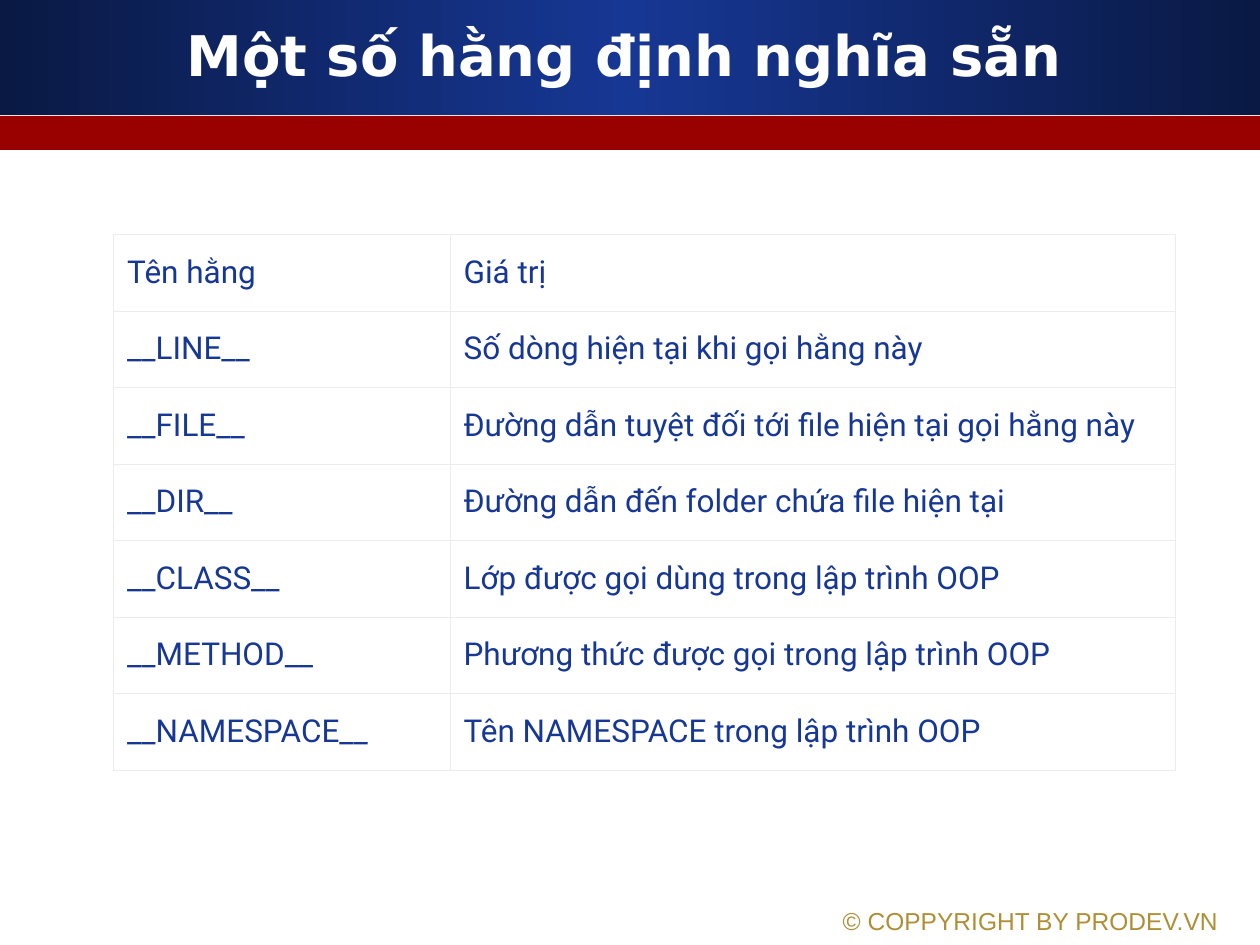
import copy
from dataclasses import dataclass

import pptx
import pptx.dml.color
import pptx.enum.shapes
import pptx.enum.text
import pptx.oxml
import pptx.oxml.ns
import pptx.util
from pptx.util import Inches

ANCHOR = pptx.enum.text.MSO_ANCHOR
ALIGN = pptx.enum.text.PP_ALIGN


@dataclass(frozen=True)
class TextStyle:
    font: str
    size: int
    color: str
    bold: bool = False


@dataclass(frozen=True)
class Theme:
    navy: str = "0A1944"
    blue: str = "163794"
    red: str = "990000"
    white: str = "FFFFFF"
    border: str = "ECECEC"
    border_width: float = 0.34
    title: TextStyle = TextStyle("DejaVu Sans", 32, "FFFFFF", True)
    body: TextStyle = TextStyle("Roboto", 18, "163794")
    footer: TextStyle = TextStyle("Arial", 14, "AF8F35")


THEME = Theme()

CONSTANTS = [
    ("Tên hằng", "Giá trị"),
    ("__LINE__", "Số dòng hiện tại khi gọi hằng này"),
    ("__FILE__", "Đường dẫn tuyệt đối tới file hiện tại gọi hằng này"),
    ("__DIR__", "Đường dẫn đến folder chứa file hiện tại"),
    ("__CLASS__", "Lớp được gọi dùng trong lập trình OOP"),
    ("__METHOD__", "Phương thức được gọi trong lập trình OOP"),
    ("__NAMESPACE__", "Tên NAMESPACE trong lập trình OOP"),
]


def rgb(color):
    return pptx.dml.color.RGBColor.from_string(color)


def write_text(text_frame, text, style):
    text_frame.text = text
    font = text_frame.paragraphs[0].runs[0].font
    font.name = style.font
    font.size = pptx.util.Pt(style.size)
    font.bold = style.bold
    font.color.rgb = rgb(style.color)


def add_band(slide, top, height):
    band = slide.shapes.add_shape(
        pptx.enum.shapes.MSO_SHAPE.RECTANGLE, 0, Inches(top), Inches(10), Inches(height))
    band.shadow.inherit = False
    band.line.fill.background()
    return band


def fill_mirrored_gradient(fill, edge, center):
    """Run a horizontal gradient from edge to center and back to edge."""
    fill.gradient()
    fill.gradient_angle = 0
    stops = fill.gradient_stops
    stop_list = fill._fill._gradFill.gsLst
    stop_list.append(copy.deepcopy(stop_list[-1]))
    stops = fill.gradient_stops
    for stop, position, color in zip(stops, (0, 0.5, 1), (edge, center, edge)):
        stop.position = position
        stop.color.rgb = rgb(color)


def add_text_box(slide, left, top, width, height, text, style):
    box = slide.shapes.add_textbox(Inches(left), Inches(top), Inches(width), Inches(height))
    box.text_frame.word_wrap = True
    write_text(box.text_frame, text, style)
    return box.text_frame


def add_title(slide, text):
    frame = add_text_box(slide, 0.33, 0.17, 9.25, 0.62, text, THEME.title)
    frame.margin_left = frame.margin_right = frame.margin_top = frame.margin_bottom = 0
    frame.vertical_anchor = ANCHOR.MIDDLE
    frame.paragraphs[0].alignment = ALIGN.CENTER
    frame.paragraphs[0].line_spacing = 0.8


def add_cell_borders(cell):
    properties = cell._tc.get_or_add_tcPr()
    width = pptx.util.Pt(THEME.border_width)
    for side in ("lnL", "lnR", "lnT", "lnB"):
        properties.append(pptx.oxml.parse_xml(
            f'<a:{side} {pptx.oxml.ns.nsdecls("a")} w="{width}"><a:solidFill>'
            f'<a:srgbClr val="{THEME.border}"/></a:solidFill></a:{side}>'))


def format_cell(cell, text):
    write_text(cell.text_frame, text, THEME.body)
    cell.vertical_anchor = ANCHOR.MIDDLE
    cell.margin_left = cell.margin_right = Inches(0.11)
    cell.margin_top = cell.margin_bottom = Inches(0.05)
    add_cell_borders(cell)
    cell.fill.solid()
    cell.fill.fore_color.rgb = rgb(THEME.white)


def add_constants_table(slide, rows):
    table = slide.shapes.add_table(
        len(rows), 2, Inches(0.9), Inches(1.86), Inches(8.43), Inches(4.25)).table
    table.first_row = table.horz_banding = False
    for column, width in zip(table.columns, (2.67, 5.76)):
        column.width = Inches(width)
    for row, texts in zip(table.rows, rows):
        for cell, text in zip(row.cells, texts):
            format_cell(cell, text)


def main():
    presentation = pptx.Presentation()
    presentation.slide_width, presentation.slide_height = Inches(10), Inches(7.5)
    slide = presentation.slides.add_slide(presentation.slide_layouts[6])

    header = add_band(slide, 0, 0.91)
    fill_mirrored_gradient(header.fill, THEME.navy, THEME.blue)
    stripe = add_band(slide, 0.92, 0.27)
    stripe.fill.solid()
    stripe.fill.fore_color.rgb = rgb(THEME.red)

    add_title(slide, "Một số hằng định nghĩa sẵn")
    add_text_box(slide, 6.59, 7.14, 3.4, 0.34, "© COPPYRIGHT BY PRODEV.VN ", THEME.footer)
    add_constants_table(slide, CONSTANTS)
    presentation.save("out.pptx")


if __name__ == "__main__":
    main()
